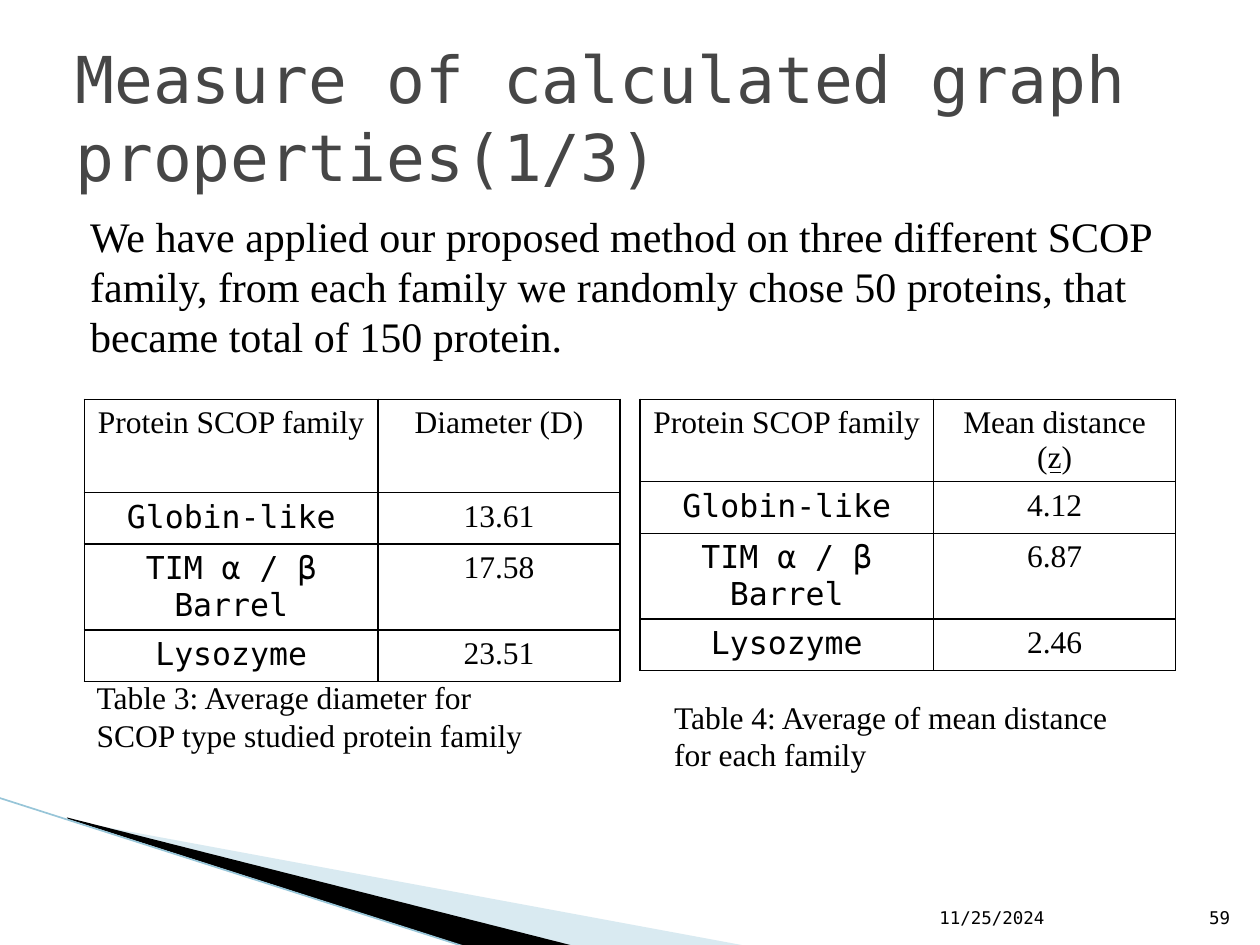
from dataclasses import dataclass

from lxml.etree import SubElement
from pptx import Presentation
from pptx.dml.color import RGBColor
from pptx.enum.shapes import MSO_CONNECTOR as Connector
from pptx.enum.text import MSO_ANCHOR as Anchor, MSO_AUTO_SIZE as AutoSize, PP_ALIGN as Align
from pptx.oxml.ns import qn
from pptx.util import Cm, Pt

SERIF = "Times New Roman"
MONO = "DejaVu Sans Mono"
BLACK = "000000"
FAMILIES = ("Globin-like", "TIM α / β Barrel", "Lysozyme")
COLUMN_WIDTHS = (5.92, 4.88)
ROW_HEIGHT = 1.04


@dataclass
class Wedge:
    points: list[tuple[float, float]]
    color: str
    opacity: int


@dataclass
class Line:
    start: tuple[float, float]
    end: tuple[float, float]
    color: str
    width: float


@dataclass
class MeasureTable:
    left: float
    header_height: float
    measure: str
    values: tuple[str, str, str]


@dataclass
class Label:
    text: str
    box: tuple[float, float, float, float]
    size: float
    font: str = SERIF
    color: str = BLACK
    align: Align = Align.LEFT
    anchor: Anchor = Anchor.TOP
    grow: bool = False
    indent: float = 0
    space_before: float = 0


WEDGES = [
    Wedge([(1.4, 16.54), (15.11, 19.08), (11.58, 19.08), (1.4, 16.51)], "A0CBDC", 40),
    Wedge([(1.35, 16.48), (11.61, 19.08), (9.45, 19.1), (1.37, 16.51)], BLACK, 100),
]
EDGE_LINE = Line((-0.03, 16.08), (9.42, 19.1), "97C5D8", 0.95)
MEAN_BAR = Line((21.16, 9.53), (21.39, 9.53), BLACK, 0.75)
TABLES = [
    MeasureTable(1.7, 1.88, "Diameter (D)", ("13.61", "17.58", "23.51")),
    MeasureTable(12.9, 1.45, "Mean distance (z)", ("4.12", "6.87", "2.46")),
]
LABELS = [
    Label("Measure of calculated graph properties(1/3)", (1.27, 0.76, 22.86, 3.18),
          36.9, MONO, "464646", anchor=Anchor.MIDDLE),
    Label("We have applied our proposed method on three different SCOP family, from each "
          "family we randomly chose 50 proteins, that became total of 150 protein.",
          (1.27, 4.11, 22.86, 12.57), 24, indent=0.3, space_before=4),
    Label("Table 3: Average diameter for SCOP type studied protein family",
          (1.7, 13.54, 9.53, 1.8), 18, grow=True),
    Label("Table 4: Average of mean distance for each family",
          (13.34, 13.94, 9.53, 1.8), 18, grow=True),
    Label("11/25/2024", (18.69, 17.81, 5.33, 1.02), 10, MONO, anchor=Anchor.BOTTOM),
    Label("59", (24.03, 17.81, 1.02, 1.02), 10, MONO, align=Align.RIGHT, anchor=Anchor.BOTTOM),
]


def paint(color_format, color: str) -> None:
    color_format.rgb = RGBColor.from_string(color)


def write(para, text: str, *, size: float, font: str = SERIF, color: str = BLACK,
          align: Align = Align.LEFT) -> None:
    para.alignment = align
    span = para.add_run()
    span.text = text
    span.font.size = Pt(size)
    span.font.name = font
    paint(span.font.color, color)


def draw_wedge(page, wedge: Wedge) -> None:
    points = [(Cm(x), Cm(y)) for x, y in wedge.points]
    builder = page.shapes.build_freeform(*points[0], scale=1.0)
    builder.add_line_segments(points[1:], close=True)
    shape = builder.convert_to_shape()
    shape.shadow.inherit = False
    shape.line.fill.background()
    shape.fill.solid()
    paint(shape.fill.fore_color, wedge.color)
    if wedge.opacity < 100:
        color = shape.fill._xPr.find(qn("a:solidFill"))[0]
        SubElement(color, qn("a:alpha"), val=str(wedge.opacity * 1000))


def draw_line(page, line: Line) -> None:
    ends = [Cm(value) for value in (*line.start, *line.end)]
    connector = page.shapes.add_connector(Connector.STRAIGHT, *ends)
    connector.line.width = Pt(line.width)
    paint(connector.line.color, line.color)
    SubElement(connector._element.spPr, qn("a:effectLst"))


def draw_label(page, label: Label) -> None:
    box = page.shapes.add_textbox(*(Cm(value) for value in label.box))
    frame = box.text_frame
    frame.word_wrap = True
    frame.vertical_anchor = label.anchor
    frame.auto_size = AutoSize.SHAPE_TO_FIT_TEXT if label.grow else AutoSize.NONE
    para = frame.paragraphs[0]
    write(para, label.text, size=label.size, font=label.font, color=label.color,
          align=label.align)
    if label.indent:
        para._p.get_or_add_pPr().set("marL", str(Cm(label.indent)))
    if label.space_before:
        para.space_before = Pt(label.space_before)


def add_borders(cell) -> None:
    properties = cell._tc.get_or_add_tcPr()
    for index, side in enumerate(("lnL", "lnR", "lnT", "lnB")):
        border = properties.makeelement(qn(f"a:{side}"), {"w": str(Pt(1))})
        fill = SubElement(border, qn("a:solidFill"))
        SubElement(fill, qn("a:srgbClr"), val=BLACK)
        properties.insert(index, border)


def draw_table(page, data: MeasureTable) -> None:
    rows = [("Protein SCOP family", data.measure), *zip(FAMILIES, data.values)]
    heights = [data.header_height] + [ROW_HEIGHT] * len(FAMILIES)
    table = page.shapes.add_table(len(rows), len(COLUMN_WIDTHS), Cm(data.left), Cm(8.05),
                                  Cm(sum(COLUMN_WIDTHS)), Cm(sum(heights))).table
    table.first_row = table.horz_banding = False
    for column, width in zip(table.columns, COLUMN_WIDTHS):
        column.width = Cm(width)
    for r, (texts, height) in enumerate(zip(rows, heights)):
        table.rows[r].height = Cm(height)
        for c, text in enumerate(texts):
            cell = table.cell(r, c)
            cell.fill.background()
            add_borders(cell)
            write(cell.text_frame.paragraphs[0], text, size=18,
                  font=MONO if text in FAMILIES else SERIF, align=Align.CENTER)


def main() -> None:
    deck = Presentation()
    deck.slide_width, deck.slide_height = Cm(25.4), Cm(19.05)
    page = deck.slides.add_slide(deck.slide_layouts[6])
    for wedge in WEDGES:
        draw_wedge(page, wedge)
    draw_line(page, EDGE_LINE)
    for data in TABLES:
        draw_table(page, data)
    draw_line(page, MEAN_BAR)
    for label in LABELS:
        draw_label(page, label)
    deck.save("out.pptx")


if __name__ == "__main__":
    main()
